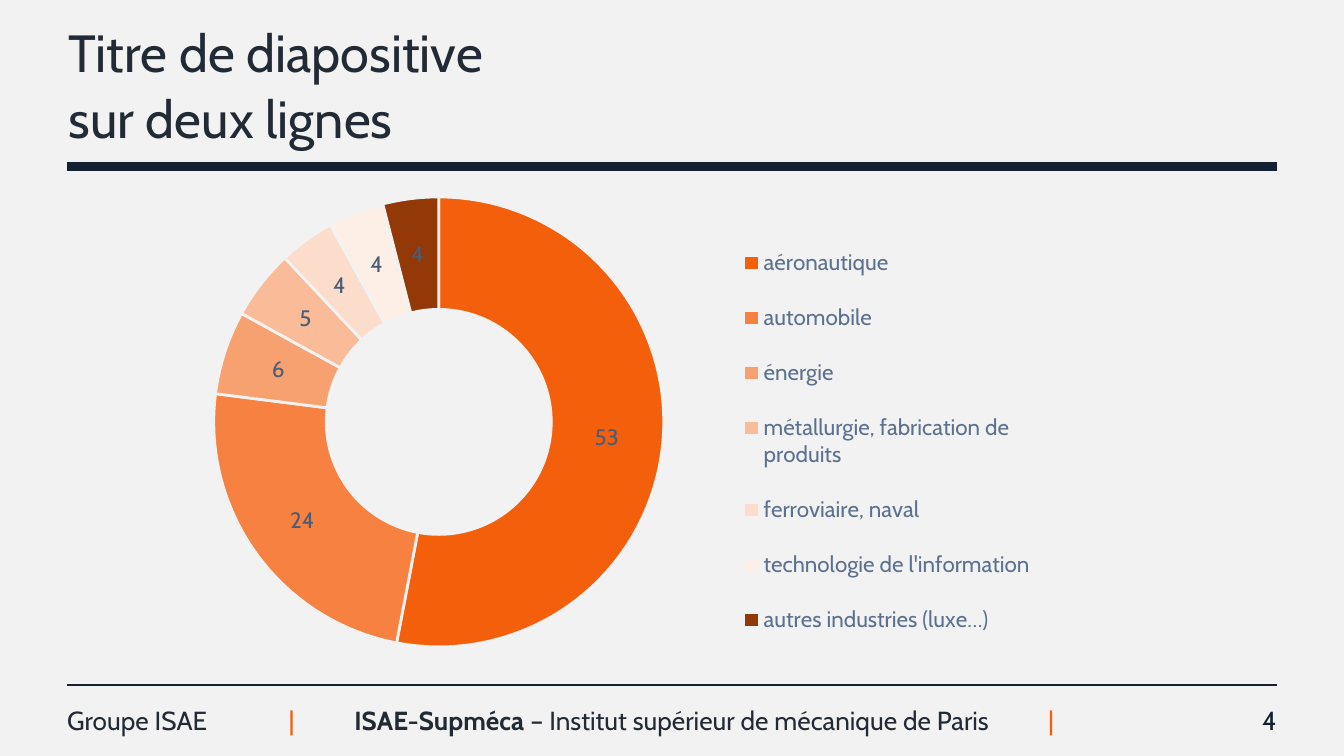
import pptx
import pptx.util
import pptx.chart.data
import pptx.dml.color
import pptx.enum.chart
import pptx.enum.shapes
import pptx.enum.text
import pptx.oxml
import pptx.oxml.ns
import lxml.etree

Inches, Pt = pptx.util.Inches, pptx.util.Pt
Align = pptx.enum.text.PP_ALIGN
Anchor = pptx.enum.text.MSO_ANCHOR

FONT = "Cabin"
COLORS = {"back": "F2F2F2", "text": "222A35", "navy": "132133",
          "orange": "F45F0C", "legend": "5C718F", "label": "4B5D75"}

# Content
TITLE = "Titre de diapositive\nsur deux lignes"
GROUP = "Groupe ISAE"
FOOTER = [("\t|", "orange", False), ("\tISAE-Supméca", "text", True),
          (" – Institut supérieur de mécanique de Paris", "text", False),
          ("\t|", "orange", False)]
TABS = [0.32, 3.15, 5.97]
NUMBER = "4"
SECTORS = [("aéronautique", 53, "F45F0C"), ("automobile", 24, "F68140"),
           ("énergie", 6, "F8A170"),
           ("métallurgie, fabrication de produits", 5, "FABB98"),
           ("ferroviaire, naval", 4, "FCDDCC"),
           ("technologie de l'information", 4, "FEEFE6"),
           ("autres industries (luxe…)", 4, "933907")]
RULES = [(1.24, 5), (5.1, 1)]
LEFT, RIGHT = 0.5, 9.5


def rgb(code):
    return pptx.dml.color.RGBColor.from_string(code)


def style(font, size, color, bold=False):
    font.name, font.size, font.bold = FONT, Pt(size), bold
    font.color.rgb = rgb(COLORS[color])


def write(shape, runs, size=14, align=Align.LEFT, anchor=Anchor.MIDDLE,
          left=0, right=0, tabs=(), spacing=None):
    """Fill a shape with (text, color, bold) runs."""
    frame = shape.text_frame
    frame.word_wrap = True
    frame.auto_size = pptx.enum.text.MSO_AUTO_SIZE.NONE
    frame.vertical_anchor = anchor
    frame.margin_left, frame.margin_right = Inches(left), Inches(right)
    frame.margin_top = frame.margin_bottom = Inches(0.05)
    para = frame.paragraphs[0]
    para.alignment = align
    if spacing:
        para.line_spacing = Pt(spacing)
    if tabs:
        stops = lxml.etree.SubElement(para._p.get_or_add_pPr(),
                                      pptx.oxml.ns.qn("a:tabLst"))
        for pos in tabs:
            lxml.etree.SubElement(stops, pptx.oxml.ns.qn("a:tab"),
                                  pos=str(Inches(pos)), algn="ctr")
    for text, color, bold in runs:
        for i, line in enumerate(text.split("\n")):
            if i:
                para.add_line_break()
            run = para.add_run()
            run.text = line
            style(run.font, size, color, bold)


def layout(x, y, w, h, inner=False):
    """Manual chart layout, in fractions of the chart."""
    target = '<c:layoutTarget val="inner"/>' if inner else ""
    modes = '<c:xMode val="edge"/><c:yMode val="edge"/>'
    sizes = "".join(f'<c:{key} val="{val}"/>'
                    for key, val in zip("xywh", (x, y, w, h)))
    return pptx.oxml.parse_xml(
        f'<c:layout {pptx.oxml.ns.nsdecls("c")}><c:manualLayout>'
        f'{target}{modes}{sizes}</c:manualLayout></c:layout>')


def place(parent, part, after=None):
    """Replace the layout of a chart part."""
    for old in parent.findall(pptx.oxml.ns.qn("c:layout")):
        parent.remove(old)
    if after is None:
        parent.insert(0, part)
    else:
        after.addnext(part)


# Slide in 16:9
deck = pptx.Presentation()
deck.slide_width, deck.slide_height = Inches(10), Inches(10 * 9 / 16)
slide = deck.slides.add_slide(deck.slide_layouts[5])
slide.background.fill.solid()
slide.background.fill.fore_color.rgb = rgb(COLORS["back"])
shapes = slide.shapes


def box(x, y, w, h):
    return shapes.add_textbox(Inches(x), Inches(y), Inches(w), Inches(h))


# Title
title = shapes.title
title.left, title.top = Inches(0.51), Inches(0)
title.width, title.height = Inches(8.11), Inches(1.24)
write(title, [(TITLE, "text", False)], size=28, spacing=35)

# Rules under the title and above the footer
for y, width in RULES:
    rule = shapes.add_connector(pptx.enum.shapes.MSO_CONNECTOR.STRAIGHT,
                                Inches(LEFT), Inches(y), Inches(RIGHT), Inches(y))
    rule.line.color.rgb = rgb(COLORS["navy"])
    rule.line.width = Pt(width)
    lxml.etree.SubElement(rule._element.spPr, pptx.oxml.ns.qn("a:effectLst"))

# Footer
write(box(LEFT, 5.19, 1.51, 0.3), [(GROUP, "text", False)],
      anchor=Anchor.TOP, right=0.1)
write(box(1.85, 5.21, 6.3, 0.3), FOOTER, tabs=TABS)
write(box(8.15, 5.21, 1.35, 0.3), [(NUMBER, "navy", False)],
      align=Align.RIGHT, left=0.1)

# Doughnut chart
names, values, fills = zip(*SECTORS)
data = pptx.chart.data.CategoryChartData(number_format="0")
data.categories = names
data.add_series("Series 1", values)
chart = shapes.add_chart(pptx.enum.chart.XL_CHART_TYPE.DOUGHNUT, Inches(0.91),
                         Inches(1.32), Inches(7.03), Inches(3.64), data).chart
chart.has_title = False
style(chart.font, 10, "text")

plot = chart.plots[0]
plot.vary_by_categories = True
plot._element.find(pptx.oxml.ns.qn("c:holeSize")).set("val", "53")
series = plot.series[0]
for i, fill in enumerate(fills):
    mark = series.points[i].format
    mark.fill.solid()
    mark.fill.fore_color.rgb = rgb(fill)
    mark.line.color.rgb = rgb(COLORS["back"])
    mark.line.width = Pt(1.5)
labels = series.data_labels
labels.show_value = True
labels.show_percentage = False
style(labels.font, 12, "label")

# Legend and plot positions
chart.has_legend = True
legend = chart.legend
legend.position = pptx.enum.chart.XL_LEGEND_POSITION.RIGHT
legend.include_in_layout = False
style(legend.font, 12, "legend")
place(legend._element, layout(0.65, 0.09, 0.32, 0.9),
      legend._element.find(pptx.oxml.ns.qn("c:legendPos")))
area = chart._chartSpace.chart.plotArea
place(area, layout(0.09, 0.04, 0.49, 0.92, inner=True))

deck.save("out.pptx")
